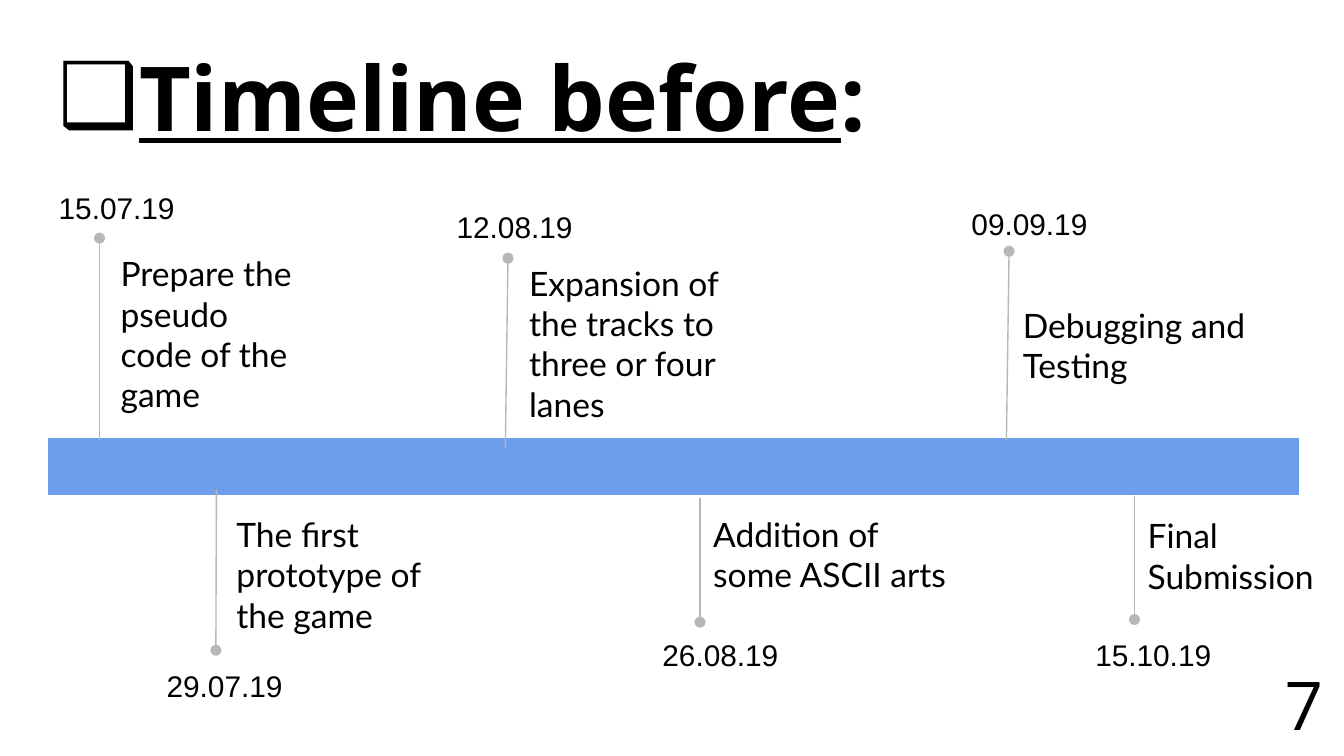
from dataclasses import dataclass

from lxml.etree import SubElement
from pptx import Presentation
from pptx.dml.color import RGBColor
from pptx.enum.shapes import MSO_CONNECTOR
from pptx.enum.text import MSO_ANCHOR, MSO_AUTO_SIZE, PP_ALIGN
from pptx.oxml.ns import qn
from pptx.slide import Slide
from pptx.text.text import TextFrame
from pptx.util import Cm, Pt

COLORS = {"text": "000000", "stem": "B7B7B7", "band": "6D9EEB"}
NO_TABLE_STYLE = "{2D5ABB26-0587-4C30-8999-92F81FD0307C}"
INSET = 0.25
LABEL_LINE = 0.76
BAND_COLUMNS = 12


@dataclass(frozen=True)
class Milestone:
    """A dated event: positions in centimetres."""
    date: str
    date_at: tuple[float, float]
    stem_from: tuple[float, float]
    stem_to: tuple[float, float]
    label: str
    label_left: float
    label_middle: float
    label_width: float
    label_lines: int


MILESTONES = [
    Milestone("15.07.19", (0.86, 3.45), (1.88, 8.31), (1.88, 4.5),
              "Prepare the pseudo code of the game", 2.03, 6.31, 3.8, 4),
    Milestone("29.07.19", (2.9, 12.5), (4.09, 9.25), (4.08, 12.29),
              "The first prototype of the game", 4.22, 10.86, 4.85, 3),
    Milestone("12.08.19", (8.38, 3.81), (9.55, 8.46), (9.6, 4.88),
              "Expansion of the tracks to three or four lanes", 9.75, 6.49, 4.95, 4),
    Milestone("26.08.19", (12.27, 11.91), (13.23, 9.42), (13.23, 11.76),
              "Addition of some ASCII arts", 13.23, 10.48, 5.03, 2),
    Milestone("09.09.19", (18.11, 3.76), (19.02, 8.33), (19.07, 4.75),
              "Debugging and Testing", 19.08, 6.52, 5.03, 2),
    Milestone("15.10.19", (20.45, 11.91), (21.44, 9.37), (21.44, 11.71),
              "Final Submission", 21.44, 10.5, 3.89, 2),
]


def color(name: str) -> RGBColor:
    """Look up a named colour."""
    return RGBColor.from_string(COLORS[name])


def add_run(paragraph, text: str, font: str, size: float,
            bold: bool = False, underline: bool = False) -> None:
    """Append one formatted run."""
    run = paragraph.add_run()
    run.text = text
    run.font.name = font
    run.font.size = Pt(size)
    run.font.bold = bold
    run.font.underline = underline
    run.font.color.rgb = color("text")


def set_insets(frame: TextFrame, sides: float, bottom: float) -> None:
    """Set the inner margins in centimetres."""
    frame.margin_left = frame.margin_right = frame.margin_top = Cm(sides)
    frame.margin_bottom = Cm(bottom)


def add_text(slide: Slide, text: str, left: float, top: float, width: float,
             height: float, font: str, size: float,
             anchor: MSO_ANCHOR = MSO_ANCHOR.TOP, inset: float = INSET) -> None:
    """Add a wrapped text box with one paragraph."""
    shape = slide.shapes.add_textbox(Cm(left), Cm(top), Cm(width), Cm(height))
    frame = shape.text_frame
    frame.word_wrap = True
    frame.vertical_anchor = anchor
    set_insets(frame, INSET, inset)
    frame.margin_top = Cm(inset)
    add_run(frame.paragraphs[0], text, font, size)


def add_title(slide: Slide) -> None:
    """Fill the title placeholder with its bulleted heading."""
    title = slide.shapes.title
    title.left, title.top, title.width, title.height = Cm(0.86), Cm(0.66), Cm(23.67), Cm(2.92)
    frame = title.text_frame
    frame.auto_size = MSO_AUTO_SIZE.NONE
    frame.vertical_anchor = MSO_ANCHOR.BOTTOM
    set_insets(frame, INSET, 0.76)
    paragraph = frame.paragraphs[0]
    paragraph.alignment = PP_ALIGN.LEFT
    properties = paragraph._p.get_or_add_pPr()
    properties.set("marL", str(Cm(0.93)))
    properties.set("indent", str(-Cm(0.93)))
    bullet_color = SubElement(properties, qn("a:buClr"))
    SubElement(bullet_color, qn("a:srgbClr"), val=COLORS["text"])
    SubElement(properties, qn("a:buSzPts"), val="1400")
    SubElement(properties, qn("a:buFont"), typeface="Arial")
    SubElement(properties, qn("a:buChar"), char="❑")
    add_run(paragraph, "Timeline before", "Open Sans", 48, bold=True, underline=True)
    add_run(paragraph, ":", "Open Sans", 48, bold=True)


def add_band(slide: Slide) -> None:
    """Add the timeline band as a one-row table."""
    frame = slide.shapes.add_table(1, BAND_COLUMNS, Cm(0.91), Cm(8.28),
                                   Cm(1.97 * BAND_COLUMNS), Cm(1.08))
    table = frame.table
    table._tbl.tblPr.find(qn("a:tableStyleId")).text = NO_TABLE_STYLE
    table.first_row = table.horz_banding = False
    for column in table.columns:
        column.width = Cm(1.97)
    for cell in table.iter_cells():
        cell.fill.solid()
        cell.fill.fore_color.rgb = color("band")


def add_stem(slide: Slide, start: tuple[float, float], end: tuple[float, float]) -> None:
    """Add a thin line that ends in a dot."""
    points = [Cm(value) for value in (*start, *end)]
    connector = slide.shapes.add_connector(MSO_CONNECTOR.STRAIGHT, *points)
    connector.line.color.rgb = color("stem")
    connector.line.width = Pt(0.75)
    SubElement(connector.line._get_or_add_ln(), qn("a:tailEnd"), type="oval")
    SubElement(connector._element.spPr, qn("a:effectLst"))


def add_milestone(slide: Slide, milestone: Milestone) -> None:
    """Draw the stem, label and date of one milestone."""
    add_stem(slide, milestone.stem_from, milestone.stem_to)
    height = milestone.label_lines * LABEL_LINE + 2 * INSET
    add_text(slide, milestone.label, milestone.label_left,
             milestone.label_middle - height / 2, milestone.label_width, height,
             "Lato", 18, MSO_ANCHOR.MIDDLE)
    add_text(slide, milestone.date, *milestone.date_at, 2.77, 0.94, "Arial", 16, inset=0.13)


def main() -> None:
    """Build and save the presentation."""
    presentation = Presentation()
    presentation.slide_width, presentation.slide_height = Cm(25.4), Cm(14.29)
    slide = presentation.slides.add_slide(presentation.slide_layouts[5])
    add_title(slide)
    add_band(slide)
    for milestone in MILESTONES:
        add_milestone(slide, milestone)
    add_text(slide, "7", 24.03, 12.29, 1.37, 1.98, "Open Sans", 36)
    presentation.save("out.pptx")


main()
